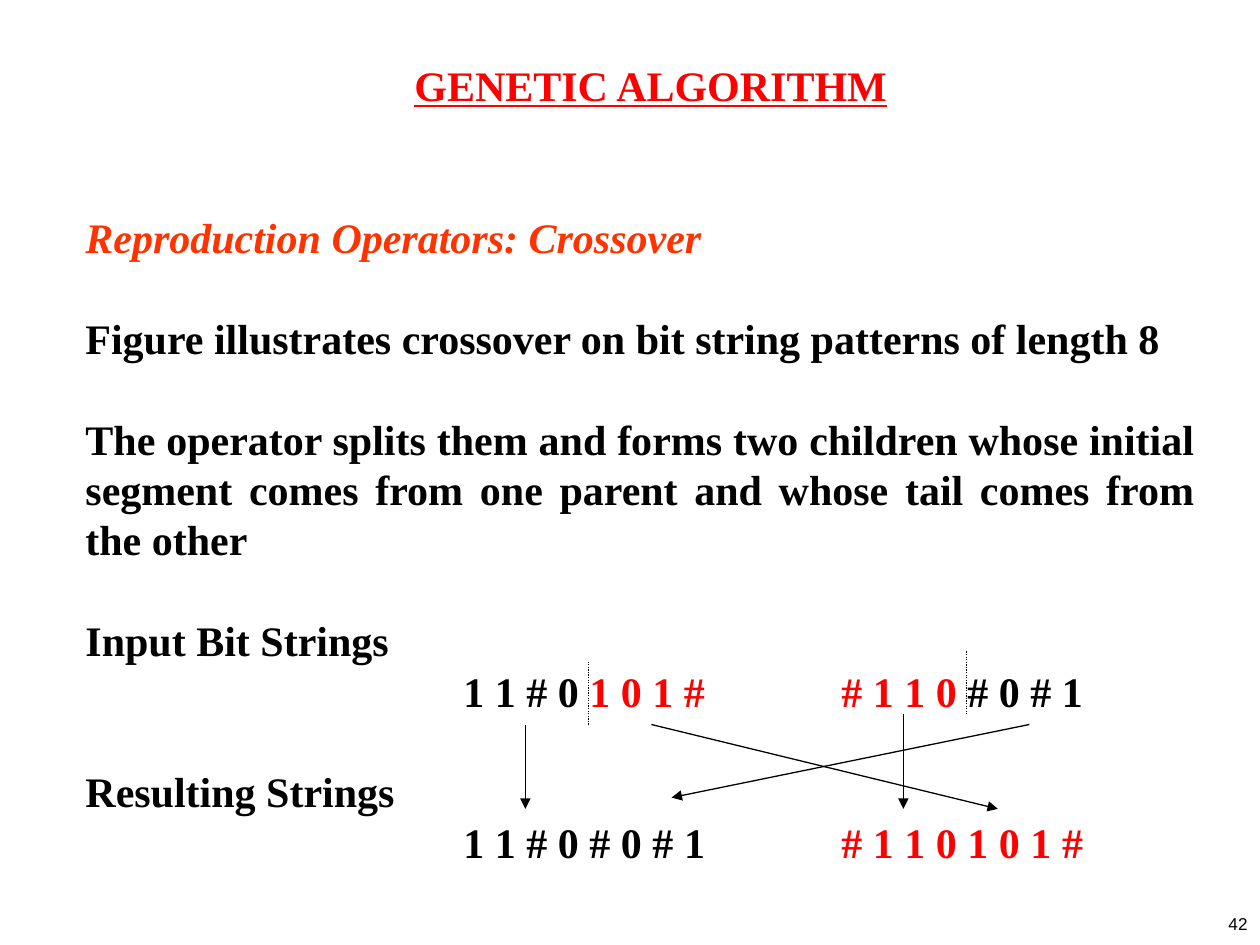
import pptx
import pptx.util
import pptx.dml.color
import pptx.enum.dml
import pptx.enum.shapes
import pptx.enum.text
from pptx.oxml.ns import qn
import lxml.etree

Inches = pptx.util.Inches
Pt = pptx.util.Pt
ALIGN = pptx.enum.text.PP_ALIGN
BLACK, RED, ORANGE = "000000", "FF0000", "FF3300"
PITCH = Pt(28.8)

deck = pptx.Presentation()
deck.slide_width, deck.slide_height = Inches(10), Inches(7.5)
slide = deck.slides.add_slide(deck.slide_layouts[6])


def paint(color):
    return pptx.dml.color.RGBColor.from_string(color)


def write(para, parts, size=24, font="Times New Roman", bold=True, italic=False,
          under=False, align=ALIGN.JUSTIFY, pitch=PITCH, gap=0):
    """Fill a paragraph with (text, color) parts."""
    para.alignment = align
    para.line_spacing = pitch
    para.space_before = gap
    for text, color in parts:
        run = para.add_run()
        run.text = text
        run.font.size = Pt(size)
        run.font.name = font
        run.font.bold, run.font.italic, run.font.underline = bold, italic, under
        run.font.color.rgb = paint(color)


# Text boxes
frames = []
for box in [(9.46, 7.23, 0.54, 0.27), (0.58, 1.63, 9, 5.3), (1.25, 0.42, 7.83, 0.5)]:
    frame = slide.shapes.add_textbox(*map(Inches, box)).text_frame
    frame.word_wrap = True
    frames.append(frame)
number, body, title = frames

write(number.paragraphs[0], [("42", BLACK)], size=9.8, font="Arial", bold=False,
      align=ALIGN.RIGHT, pitch=0.8)
write(title.paragraphs[0], [("GENETIC ALGORITHM", RED)], under=True, align=ALIGN.CENTER)

write(body.paragraphs[0], [("Reproduction Operators: Crossover", ORANGE)], italic=True)
for text in [
    "Figure illustrates crossover on bit string patterns of length 8",
    "The operator splits them and forms two children whose initial segment "
    "comes from one parent and whose tail comes from the other",
]:
    write(body.add_paragraph(), [(text, BLACK)], gap=PITCH)

# Each label is followed by a row of bit strings set at two tab stops
for label, bits in [
    ("Input Bit Strings",
     [("\t1 1 # 0 ", BLACK), ("1 0 1 #\t# 1 1 0", RED), (" # 0 # 1", BLACK)]),
    ("Resulting Strings",
     [("\t1 1 # 0 # 0 # 1\t", BLACK), ("# 1 1 0 1 0 1 #", RED)]),
]:
    write(body.add_paragraph(), [(label, BLACK)], gap=PITCH)
    row = body.add_paragraph()
    write(row, bits, align=ALIGN.LEFT)
    stops = lxml.etree.SubElement(row._p.get_or_add_pPr(), qn("a:tabLst"))
    for pos in (3, 6):
        lxml.etree.SubElement(stops, qn("a:tab"), pos=str(Inches(pos)), algn="l")

# Dotted split marks and crossover arrows
for x1, y1, x2, y2, arrow in [
    (4.67, 5.25, 4.67, 5.75, False),
    (7.67, 5.17, 7.67, 5.67, False),
    (4.17, 5.75, 4.17, 6.42, True),
    (7.17, 5.67, 7.17, 6.42, True),
    (8.17, 5.75, 5.33, 6.33, True),
    (5.17, 5.75, 7.92, 6.42, True),
]:
    link = slide.shapes.add_connector(pptx.enum.shapes.MSO_CONNECTOR.STRAIGHT,
                                      *map(Inches, (x1, y1, x2, y2)))
    link.line.width = Pt(0.75)
    link.line.color.rgb = paint(BLACK)
    if arrow:
        lxml.etree.SubElement(link.line._get_or_add_ln(), qn("a:tailEnd"), type="triangle")
    else:
        link.line.dash_style = pptx.enum.dml.MSO_LINE.ROUND_DOT
    lxml.etree.SubElement(link._element.spPr, qn("a:effectLst"))

deck.save("out.pptx")
